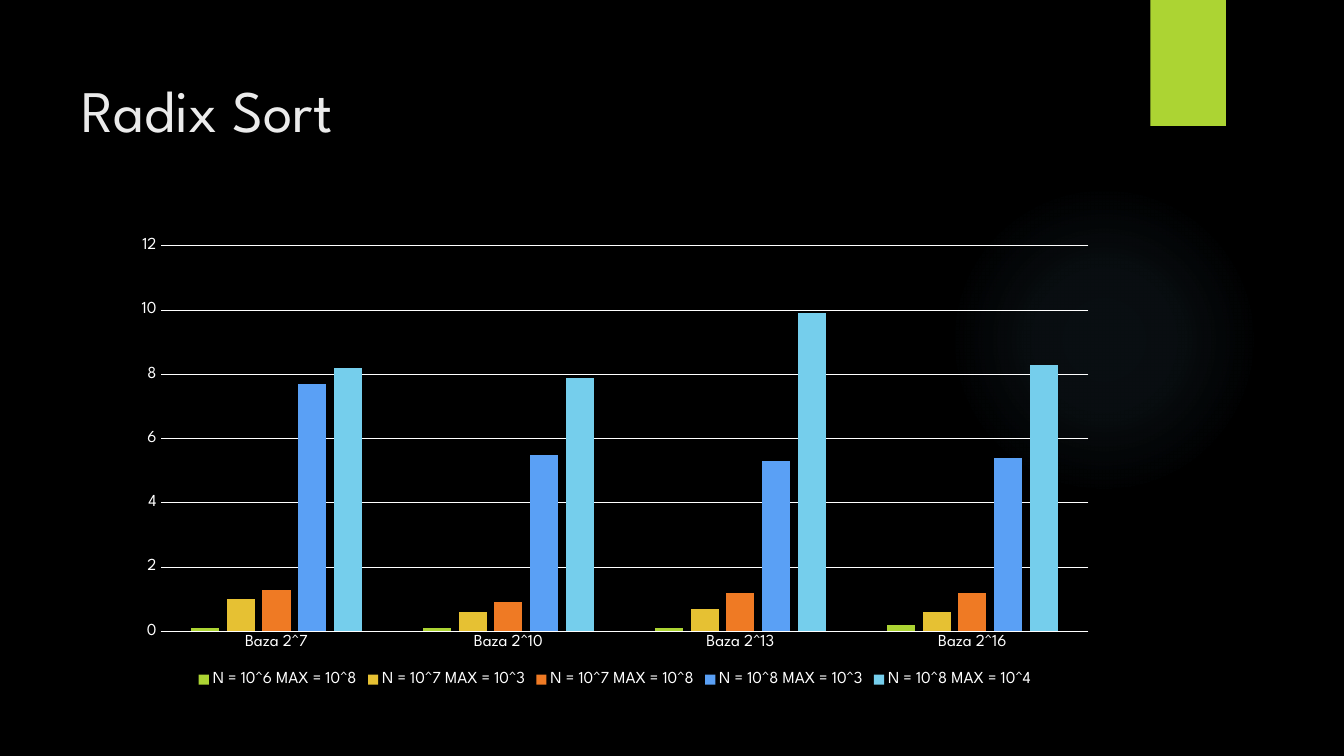
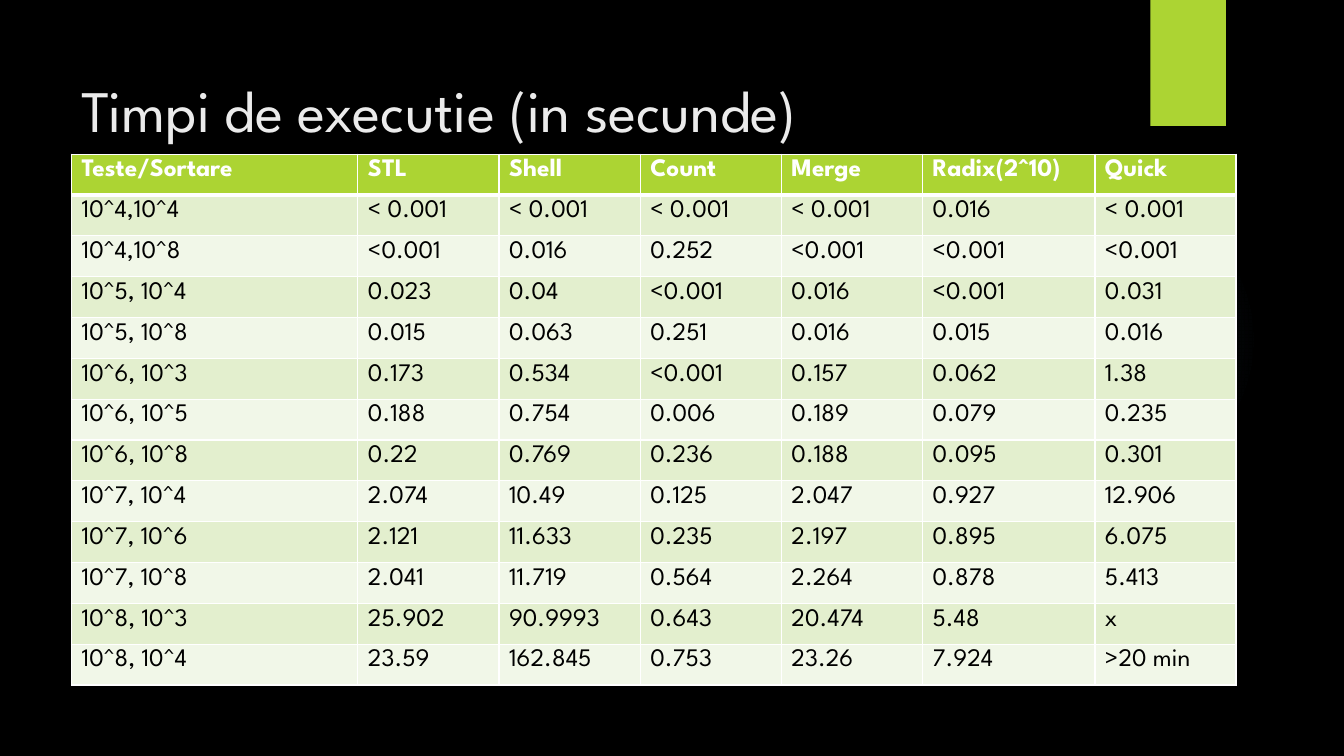
from dataclasses import dataclass

from lxml import etree
from pptx import Presentation
from pptx.chart.data import CategoryChartData
from pptx.dml.color import RGBColor
from pptx.enum.chart import XL_CHART_TYPE, XL_LEGEND_POSITION, XL_TICK_MARK
from pptx.enum.shapes import MSO_SHAPE
from pptx.enum.text import MSO_ANCHOR, MSO_AUTO_SIZE
from pptx.oxml import parse_xml
from pptx.oxml.ns import nsdecls, qn
from pptx.util import Inches, Pt

COLUMNS = XL_CHART_TYPE.COLUMN_CLUSTERED
LEGEND_BOTTOM = XL_LEGEND_POSITION.BOTTOM
NO_TICK = XL_TICK_MARK.NONE
OVAL, RECTANGLE = MSO_SHAPE.OVAL, MSO_SHAPE.RECTANGLE
TOP = MSO_ANCHOR.TOP
NO_FIT = MSO_AUTO_SIZE.NONE
TITLE_ONLY = 5


@dataclass(frozen=True)
class Theme:
    """Colours, font and type sizes of the deck."""
    font: str = "League Spartan"
    background: str = "000000"
    title: str = "EBEBEB"
    light: str = "FFFFFF"
    dark: str = "000000"
    accent: str = "ACD433"
    glow: str = "7AC4F0"
    bands: tuple = ("E3EFCE", "F1F7E8")
    series: tuple = ("ACD433", "E6C133", "EF7A24", "5AA0F5", "75CEEC")
    title_size: int = 42
    table_size: int = 18
    chart_size: int = 12
    thin: float = 0.75
    border: int = 1
    header_rule: int = 3


def paint(fill, colour):
    """Give a fill one solid colour."""
    fill.solid()
    fill.fore_color.rgb = RGBColor.from_string(colour)


def lengths(*values):
    """Turn numbers into inches."""
    return [Inches(value) for value in values]


class Pages:
    """Hold the style and the current page, and draw its elements."""

    def __init__(self, theme):
        """Start an empty wide deck."""
        self.theme = theme
        self.deck = Presentation()
        self.deck.slide_width, self.deck.slide_height = lengths(13.33, 7.5)
        paint(self.deck.slide_master.background.fill, theme.background)
        self.page = None

    def style(self, font, size, colour, bold=False):
        """Format a font in the deck's typeface."""
        formats = {"name": self.theme.font, "size": Pt(size), "bold": bold}
        for name, value in formats.items():
            setattr(font, name, value)
        font.color.rgb = RGBColor.from_string(colour)

    def start(self, title):
        """Add a page with the shared decoration and its title."""
        layout = self.deck.slide_layouts[TITLE_ONLY]
        self.page = self.deck.slides.add_slide(layout)
        self.glow(9.41, 1.83, 3.08)
        tab = self.shape(RECTANGLE, 11.41, 0, 0.75, 1.25)
        paint(tab.fill, self.theme.accent)
        self.title(title)

    def shape(self, kind, *box):
        """Add a preset shape without line or shadow."""
        shape = self.page.shapes.add_shape(kind, *lengths(*box))
        shape.shadow.inherit = False
        shape.line.fill.background()
        return shape

    def glow(self, left, top, size):
        """Add a soft round light that fades to nothing."""
        light = self.shape(OVAL, left, top, size, size)
        light.fill.background()
        stops = "".join(
            f'<a:gs pos="{place * 1000}"><a:srgbClr val="{self.theme.glow}">'
            f'<a:alpha val="{alpha * 1000}"/></a:srgbClr></a:gs>'
            for place, alpha in ((0, 7), (36, 6), (69, 0), (100, 0)))
        gradient = parse_xml(
            f'<a:gradFill {nsdecls("a")} rotWithShape="1"><a:gsLst>{stops}</a:gsLst>'
            '<a:path path="circle"><a:fillToRect l="50000" t="50000" '
            'r="50000" b="50000"/></a:path></a:gradFill>')
        properties = light._element.spPr
        properties.replace(properties.find(qn("a:noFill")), gradient)

    def title(self, text):
        """Place and format the title placeholder."""
        box = self.page.shapes.title
        box.left, box.top, box.width, box.height = lengths(0.71, 0.5, 10.29, 1.53)
        frame = box.text_frame
        frame.text = text
        formats = {"vertical_anchor": TOP, "margin_top": Inches(0.23),
                   "word_wrap": True, "auto_size": NO_FIT}
        for name, value in formats.items():
            setattr(frame, name, value)
        para = frame.paragraphs[0]
        para.alignment = 1
        self.style(para.runs[0].font, self.theme.title_size, self.theme.title)

    def line(self, line, width):
        """Format a chart line in the light colour."""
        line.width = Pt(width)
        paint(line.fill, self.theme.light)

    def chart(self, box, categories, series):
        """Add a clustered column chart with a legend below."""
        theme = self.theme
        data = CategoryChartData(number_format="General")
        data.categories = categories
        for name, values in series.items():
            data.add_series(name, values)
        chart = self.page.shapes.add_chart(COLUMNS, *lengths(*box), data).chart
        chart.has_title = False
        self.style(chart.font, theme.chart_size, theme.light)
        chart.has_legend = True
        chart.legend.position = LEGEND_BOTTOM
        chart.legend.include_in_layout = False
        self.style(chart.legend.font, theme.chart_size, theme.light)
        for axis in (chart.category_axis, chart.value_axis):
            axis.major_tick_mark = axis.minor_tick_mark = NO_TICK
            self.style(axis.tick_labels.font, theme.chart_size, theme.light)
        self.line(chart.category_axis.format.line, theme.thin)
        scale = {"minimum_scale": 0, "maximum_scale": 12, "major_unit": 2,
                 "has_major_gridlines": True}
        for name, value in scale.items():
            setattr(chart.value_axis, name, value)
        chart.value_axis.format.line.fill.background()
        self.line(chart.value_axis.major_gridlines.format.line, theme.thin)
        plot = chart.plots[0]
        for name, value in {"gap_width": 219, "overlap": -27, "vary_by_categories": False}.items():
            setattr(plot, name, value)
        for bars, colour in zip(plot.series, theme.series):
            paint(bars.format.fill, colour)

    def borders(self, cell, top, bottom):
        """Draw the four borders of a table cell."""
        properties = cell._tc.get_or_add_tcPr()
        widths = {"L": self.theme.border, "R": self.theme.border, "T": top, "B": bottom}
        for side, width in widths.items():
            edge = etree.SubElement(properties, qn(f"a:ln{side}"), w=str(Pt(width)))
            fill = etree.SubElement(edge, qn("a:solidFill"))
            etree.SubElement(fill, qn("a:srgbClr"), val=self.theme.light)

    def table(self, box, widths, rows):
        """Add a table with a coloured header and banded rows."""
        theme = self.theme
        table = self.page.shapes.add_table(len(rows), len(widths), *lengths(*box)).table
        for column, width in zip(table.columns, widths):
            column.width = Inches(width)
        for number, values in enumerate(rows):
            header = number == 0
            top = theme.header_rule if number == 1 else theme.border
            bottom = theme.header_rule if header else theme.border
            colour = theme.accent if header else theme.bands[(number - 1) % 2]
            for place, text in enumerate(values):
                cell = table.cell(number, place)
                cell.text = text
                self.borders(cell, top, bottom)
                paint(cell.fill, colour)
                span = cell.text_frame.paragraphs[0].runs[0]
                self.style(span.font, theme.table_size,
                           theme.light if header else theme.dark, header)


RADIX_BASES = ["Baza 2^7", "Baza 2^10", "Baza 2^13", "Baza 2^16"]
RADIX_TIMES = {
    "N = 10^6 MAX = 10^8": (0.1, 0.1, 0.1, 0.2),
    "N = 10^7 MAX = 10^3": (1, 0.6, 0.7, 0.6),
    "N = 10^7 MAX = 10^8": (1.3, 0.9, 1.2, 1.2),
    "N = 10^8 MAX = 10^3": (7.7, 5.5, 5.3, 5.4),
    "N = 10^8 MAX = 10^4": (8.2, 7.9, 9.9, 8.3),
}
SORT_TIMES = [
    ("Teste/Sortare", "STL", "Shell", "Count", "Merge", "Radix(2^10)", "Quick"),
    ("10^4,10^4", "< 0.001", "< 0.001", "< 0.001", "< 0.001", "0.016", "< 0.001"),
    ("10^4,10^8", "<0.001", "0.016", "0.252", "<0.001", "<0.001", "<0.001"),
    ("10^5, 10^4", "0.023", "0.04", "<0.001", "0.016", "<0.001", "0.031"),
    ("10^5, 10^8", "0.015", "0.063", "0.251", "0.016", "0.015", "0.016"),
    ("10^6, 10^3", "0.173", "0.534", "<0.001", "0.157", "0.062", "1.38"),
    ("10^6, 10^5", "0.188", "0.754", "0.006", "0.189", "0.079", "0.235"),
    ("10^6, 10^8", "0.22", "0.769", "0.236", "0.188", "0.095", "0.301"),
    ("10^7, 10^4", "2.074", "10.49", "0.125", "2.047", "0.927", "12.906"),
    ("10^7, 10^6", "2.121", "11.633", "0.235", "2.197", "0.895", "6.075"),
    ("10^7, 10^8", "2.041", "11.719", "0.564", "2.264", "0.878", "5.413"),
    ("10^8, 10^3", "25.902", "90.9993", "0.643", "20.474", "5.48", "x"),
    ("10^8, 10^4", "23.59", "162.845", "0.753", "23.26", "7.924", ">20 min"),
]


def main():
    """Build both pages and save the deck."""
    pages = Pages(Theme())
    pages.start("Radix Sort")
    pages.chart((1.21, 2.27, 9.78, 4.59), RADIX_BASES, RADIX_TIMES)
    pages.start("Timpi de executie (in secunde)")
    pages.table((0.71, 1.53, 11.54, 5.27), [2.84] + [1.4] * 4 + [1.71, 1.4], SORT_TIMES)
    pages.deck.save("out.pptx")


main()
